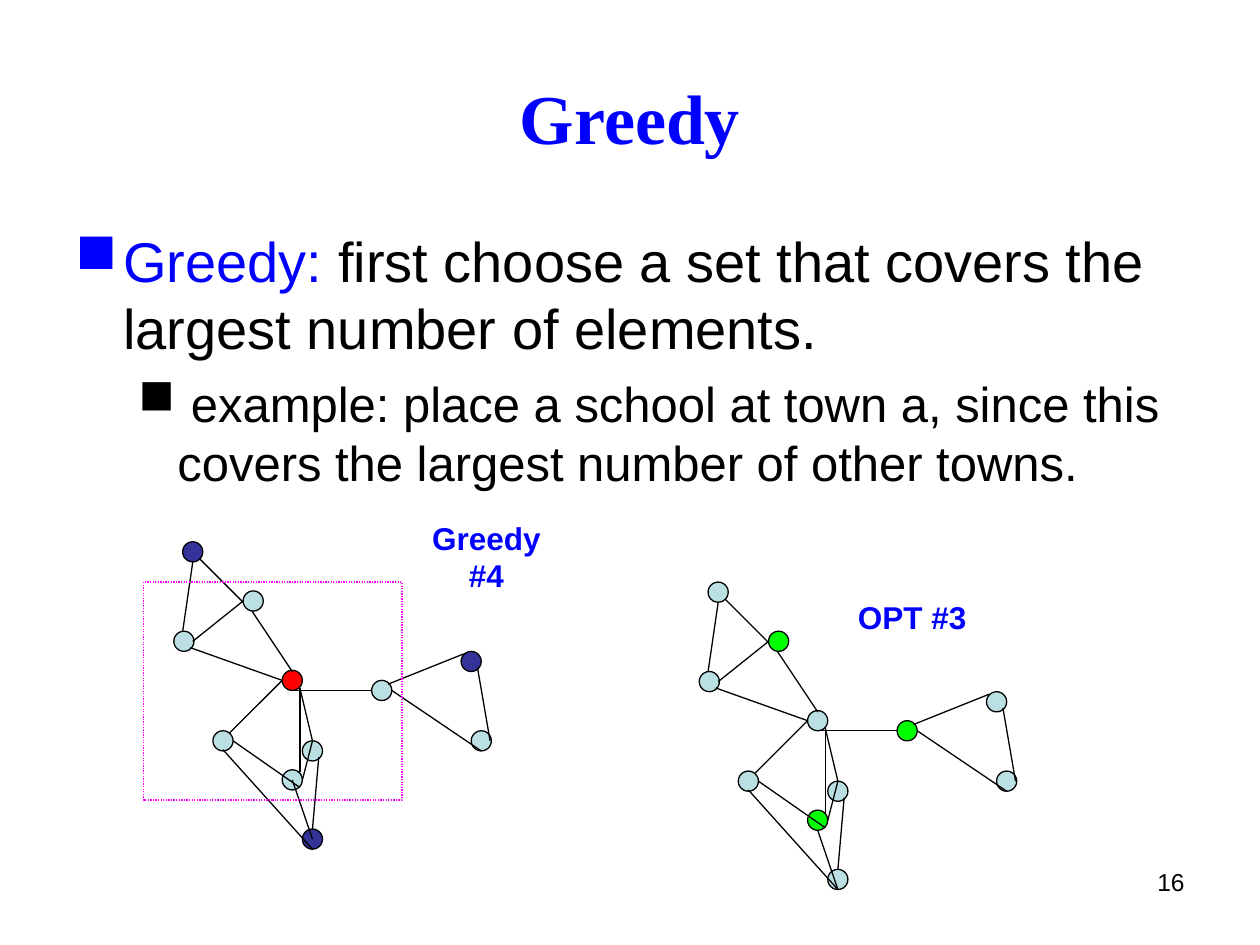
"""Builds the slide comparing the greedy school placement with the optimal one."""
from lxml import etree
from pptx import Presentation
from pptx.dml.color import RGBColor
from pptx.enum.dml import MSO_LINE
from pptx.enum.shapes import MSO_CONNECTOR, MSO_SHAPE
from pptx.enum.text import MSO_ANCHOR, PP_ALIGN
from pptx.oxml.ns import qn
from pptx.util import Inches, Pt

COLORS = {
    "blue": "0000FF", "black": "000000", "navy": "333399", "pale": "BBE0E3",
    "red": "FF0000", "green": "00FF00", "magenta": "FF00FF",
}
NODE_SIZE = 0.16
LINE_WIDTH = Pt(0.75)


def rgb(name):
    return RGBColor.from_string(COLORS[name])


def add_text(page, place, paragraphs, size, align, anchor=MSO_ANCHOR.TOP, wrap=True,
             font="Arial", bold=False):
    box = page.shapes.add_textbox(*map(Inches, place))
    frame = box.text_frame
    frame.word_wrap, frame.vertical_anchor = wrap, anchor
    for index, spans in enumerate(paragraphs):
        para = frame.add_paragraph() if index else frame.paragraphs[0]
        para.alignment = align
        for text, color in spans:
            span = para.add_run()
            span.text = text
            for key, value in {"name": font, "size": Pt(size), "bold": bold}.items():
                setattr(span.font, key, value)
            span.font.color.rgb = rgb(color)
    return frame


deck = Presentation()
deck.slide_width, deck.slide_height = Inches(10), Inches(7.5)
page = deck.slides.add_slide(deck.slide_layouts[6])

add_text(page, (0.5, 0.3, 9, 1.25), [[("Greedy", "blue")]], 40, PP_ALIGN.CENTER,
         MSO_ANCHOR.MIDDLE, font="Times New Roman", bold=True)

body = add_text(page, (0.5, 1.75, 9, 4.95), [
    [("Greedy:", "blue"),
     (" first choose a set that covers the largest number of elements.", "black")],
    [(" example: place a school at town a, since this covers the largest number "
      "of other towns.", "black")],
], 32, PP_ALIGN.LEFT)
body_formats = [(0, 32, 8, 0.38, 0.38, "blue"), (1, 28, 7, 0.81, 0.31, "black")]
for para, (level, size, before, margin, hanging, color) in zip(body.paragraphs, body_formats):
    para.level, para.space_before = level, Pt(before)
    for span in para.runs:
        span.font.size = Pt(size)
    props = para._p.get_or_add_pPr()
    props.set("marL", str(Inches(margin)))
    props.set("indent", str(-Inches(hanging)))
    bullet_color = etree.SubElement(props, qn("a:buClr"))
    etree.SubElement(bullet_color, qn("a:srgbClr"), val=COLORS[color])
    etree.SubElement(props, qn("a:buChar"), char="■")

towns = {
    "top": (1.45, 4.3), "left": (1.38, 5.01), "upper": (1.93, 4.69), "hub": (2.24, 5.32),
    "east": (2.95, 5.4), "far_top": (3.66, 5.17), "west": (1.69, 5.8),
    "south_east": (2.4, 5.88), "south": (2.24, 6.11), "bottom": (2.4, 6.58),
    "far_bottom": (3.74, 5.8),
}
roads = [
    (1.59, 4.44, 1.93, 4.78), (1.53, 4.46, 1.45, 5.01), (1.53, 5.09, 1.93, 4.77),
    (1.51, 5.14, 2.24, 5.4), (2, 4.85, 2.32, 5.33), (1.82, 5.82, 2.24, 5.4),
    (2.38, 5.46, 2.38, 6.13), (2.38, 5.46, 2.48, 5.88), (2.48, 5.88, 2.4, 6.19),
    (1.85, 5.88, 2.38, 6.25), (2.53, 6.01, 2.48, 6.58), (1.77, 5.95, 2.48, 6.74),
    (2.32, 5.48, 2.95, 5.48), (3.08, 5.43, 3.68, 5.19), (3.11, 5.48, 3.82, 5.96),
    (3.89, 5.88, 3.79, 5.3),
]
graphs = [
    (0, 0, {"top": "navy", "hub": "red", "far_top": "navy", "bottom": "navy"},
     (2.32, 6.19, 2.48, 6.66)),
    (4.17, 0.32, {"upper": "green", "east": "green", "south": "green"},
     (2.32, 6.27, 2.48, 6.74)),
]
for shift_x, shift_y, chosen, last_road in graphs:
    for town, (x, y) in towns.items():
        node = page.shapes.add_shape(
            MSO_SHAPE.OVAL, Inches(x + shift_x), Inches(y + shift_y),
            Inches(NODE_SIZE), Inches(NODE_SIZE))
        node.shadow.inherit = False
        node.fill.solid()
        node.fill.fore_color.rgb = rgb(chosen.get(town, "pale"))
        node.line.color.rgb, node.line.width = rgb("black"), LINE_WIDTH
    for x1, y1, x2, y2 in roads + [last_road]:
        road = page.shapes.add_connector(
            MSO_CONNECTOR.STRAIGHT, Inches(x1 + shift_x), Inches(y1 + shift_y),
            Inches(x2 + shift_x), Inches(y2 + shift_y))
        road.line.color.rgb, road.line.width = rgb("black"), LINE_WIDTH
        etree.SubElement(road._element.spPr, qn("a:effectLst"))

coverage = page.shapes.add_shape(MSO_SHAPE.RECTANGLE, *map(Inches, (1.14, 4.62, 2.05, 1.73)))
coverage.shadow.inherit = False
coverage.fill.background()
coverage.line.color.rgb, coverage.line.width = rgb("magenta"), LINE_WIDTH
coverage.line.dash_style = MSO_LINE.ROUND_DOT

for label, left, top in [("Greedy #4", 3.27, 4.14), ("OPT #3", 6.65, 4.62)]:
    add_text(page, (left, top, 1.18, 0.55), [[(label, "blue")]], 18, PP_ALIGN.CENTER,
             MSO_ANCHOR.MIDDLE, wrap=False, bold=True)
add_text(page, (7.17, 6.83, 2.33, 0.52), [[("16", "black")]], 14, PP_ALIGN.RIGHT)

deck.save("out.pptx")
